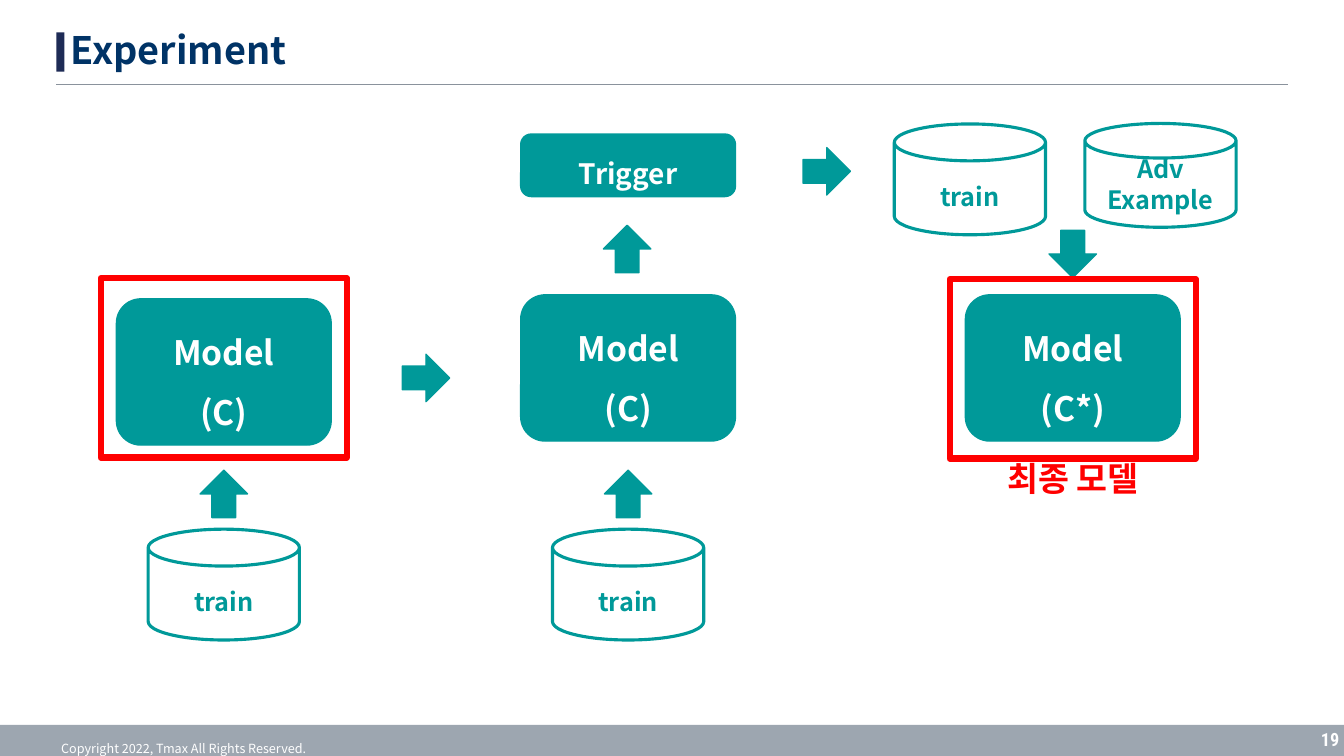
from lxml.etree import SubElement
from pptx import Presentation
from pptx.dml.color import RGBColor
from pptx.enum.shapes import MSO_CONNECTOR, MSO_SHAPE
from pptx.enum.text import MSO_ANCHOR, PP_ALIGN
from pptx.oxml.ns import qn
from pptx.util import Inches, Pt

SANS = "Noto Sans CJK KR"
TEAL, WHITE, RED = "009999", "FFFFFF", "FF0000"

deck = Presentation()
deck.slide_width, deck.slide_height = Inches(13.33), Inches(7.5)
slide = deck.slides.add_slide(deck.slide_layouts[6])


def draw(preset, center_x, center_y, width, height, fill=None, line=None, weight=1):
    """Place a shape by its centre; a preset of None gives a text box."""
    place = [Inches(v) for v in (center_x - width / 2, center_y - height / 2, width, height)]
    if preset is None:
        return slide.shapes.add_textbox(*place)
    shape = slide.shapes.add_shape(preset, *place)
    shape.shadow.inherit = False
    if fill:
        shape.fill.solid()
        shape.fill.fore_color.rgb = RGBColor.from_string(fill)
    else:
        shape.fill.background()
    if line:
        shape.line.color.rgb = RGBColor.from_string(line)
        shape.line.width = Pt(weight)
    else:
        shape.line.fill.background()
    return shape


def write(shape, lines, size, color, spacing=1.5, align=PP_ALIGN.CENTER, bold=True,
          anchor=MSO_ANCHOR.MIDDLE, inset=0.05, wrap=True, font=SANS):
    frame = shape.text_frame
    frame.word_wrap = wrap
    frame.vertical_anchor = anchor
    frame.margin_left = frame.margin_right = Inches(inset)
    frame.margin_top = frame.margin_bottom = Inches(inset)
    for i, words in enumerate(lines):
        paragraph = frame.add_paragraph() if i else frame.paragraphs[0]
        paragraph.alignment = align
        paragraph.line_spacing = spacing
        run = paragraph.add_run()
        run.text = words
        run.font.name = font
        run.font.size = Pt(size)
        run.font.bold = bold
        run.font.color.rgb = RGBColor.from_string(color)
        SubElement(run.font._element, qn("a:ea"), typeface=font)


# Heading and footer
rule = slide.shapes.add_connector(
    MSO_CONNECTOR.STRAIGHT, Inches(12.77), Inches(0.84), Inches(0.56), Inches(0.84))
rule.line.color.rgb = RGBColor.from_string("8A929C")
rule.line.width = Pt(1)
SubElement(rule._element.spPr, qn("a:effectLst"))
draw(MSO_SHAPE.RECTANGLE, 0.6, 0.515, 0.08, 0.39, "1E2B56")
draw(MSO_SHAPE.RECTANGLE, 13.33 / 2, 7.345, 13.33, 0.31, "9DA6B0")
write(draw(None, 1.82, 7.355, 3.36, 0.25), ["Copyright 2022, Tmax All Rights Reserved."],
      9, WHITE, bold=False, anchor=MSO_ANCHOR.TOP, inset=0.04)
write(draw(None, 13.205, 7.33, 0.21, 0.22), ["19"], 13, WHITE, spacing=1,
      align=PP_ALIGN.LEFT, inset=0, wrap=False, font="Roboto Condensed")
write(draw(None, 5.105, 0.515, 8.91, 0.55), ["Experiment"], 27, "003366",
      spacing=0.9, align=PP_ALIGN.LEFT)

# Column centres of the three stages
BASE, ATTACK, FINAL = 2.22, 6.23, 10.64

for x, y, height, name, spacing in [
    (BASE, 5.8, 1.1, "train", 1.5),
    (ATTACK, 5.8, 1.1, "train", 1.5),
    (FINAL - 1.02, 1.78, 1.1, "train", 1.5),
    (FINAL + 0.87, 1.74, 1.03, "Adv Example", 1),
]:
    dataset = draw(MSO_SHAPE.CAN, x, y, 1.5, height, WHITE, TEAL, 2.25)
    dataset.adjustments[0] = 0.333
    write(dataset, [name], 18, TEAL, spacing, inset=0)

for x, y, height, lines, size in [
    (BASE, 3.69, 1.45, ["Model", "(C)"], 24),
    (ATTACK, 3.65, 1.45, ["Model", "(C)"], 24),
    (FINAL, 3.65, 1.45, ["Model", "(C*)"], 24),
    (ATTACK, 1.64, 0.62, ["Trigger"], 20),
]:
    write(draw(MSO_SHAPE.ROUNDED_RECTANGLE, x, y, 2.13, height, TEAL, TEAL), lines, size, WHITE)

for direction, x, y in [
    (MSO_SHAPE.UP_ARROW, BASE, 4.9),
    (MSO_SHAPE.RIGHT_ARROW, (BASE + ATTACK) / 2, 3.75),
    (MSO_SHAPE.UP_ARROW, ATTACK, 4.9),
    (MSO_SHAPE.UP_ARROW, ATTACK - 0.01, 2.47),
    (MSO_SHAPE.RIGHT_ARROW, 8.2, 1.7),
    (MSO_SHAPE.DOWN_ARROW, FINAL, 2.52),
]:
    draw(direction, x, y, 0.47, 0.47, TEAL, TEAL)

write(draw(None, FINAL, 4.81, 5.2, 0.54), ["최종 모델"], 24, RED,
      spacing=0.9, anchor=MSO_ANCHOR.TOP)
for x, y in [(BASE, 3.65), (FINAL, 3.66)]:
    draw(MSO_SHAPE.RECTANGLE, x, y, 2.44, 1.78, line=RED, weight=4.5)

deck.save("out.pptx")
